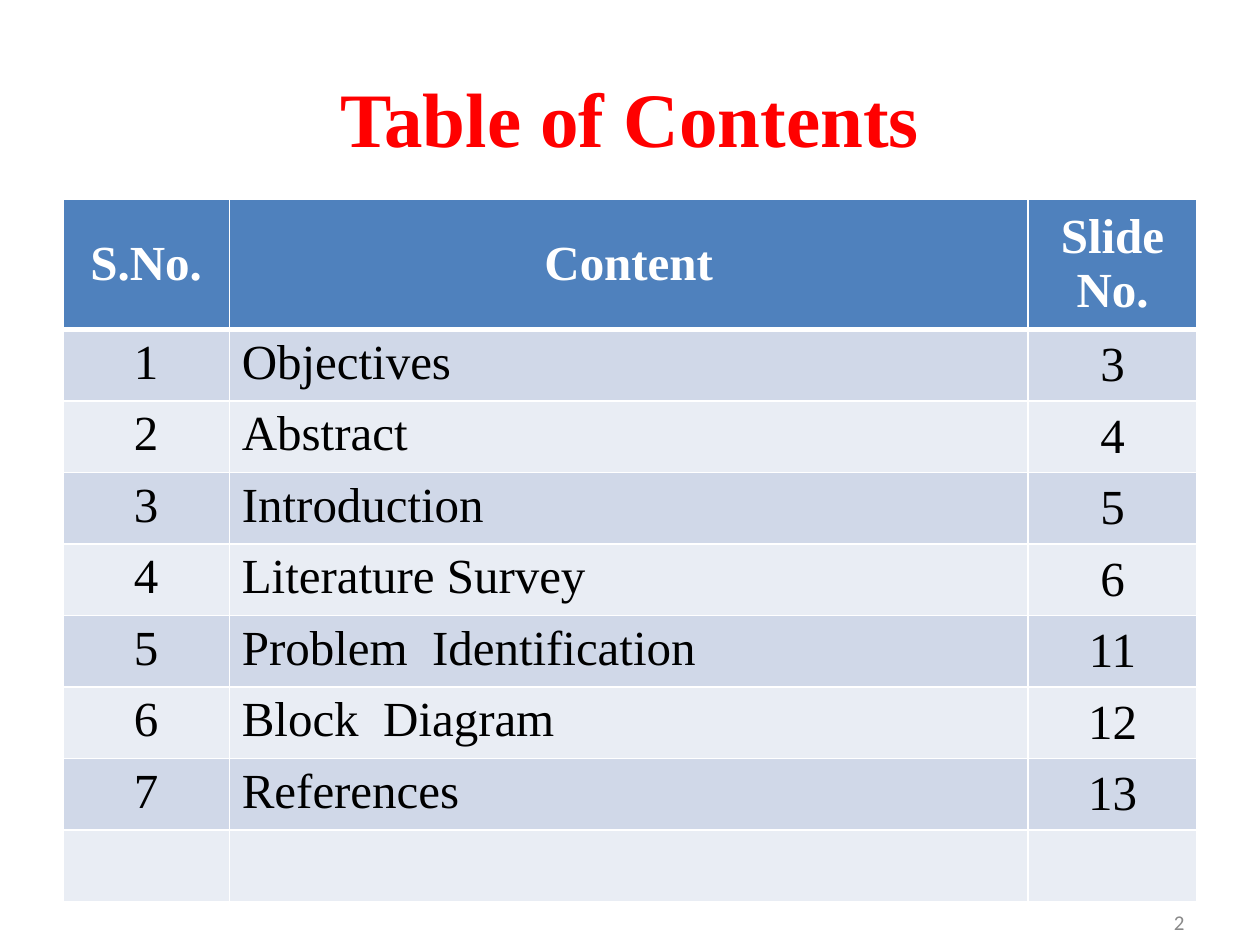
from lxml.etree import SubElement
from pptx import Presentation
from pptx.dml.color import RGBColor
from pptx.enum.text import MSO_ANCHOR, PP_ALIGN
from pptx.oxml.ns import qn
from pptx.util import Inches, Pt

SERIF = "Times New Roman"
LEFT, TOP, WIDTH, HEIGHT = 0.5, 1.58, 9, 5.57
COLS = [1.32, 6.34, 1.34]
HEAD_H = 1.03
ROWS = [
    ("S.No.", "Content", "Slide No."),
    ("1", "Objectives", "3"),
    ("2", "Abstract", "4"),
    ("3", "Introduction", "5"),
    ("4", "Literature Survey", "6"),
    ("5", "Problem  Identification", "11"),
    ("6", "Block  Diagram", "12"),
    ("7", "References", "13"),
    ("", "", ""),
]
BODY_ROWS = len(ROWS) - 1


def write(tf, text, size, color, font=SERIF, bold=False, align=PP_ALIGN.CENTER):
    p = tf.paragraphs[0]
    p.alignment = align
    r = p.add_run()
    r.text = text
    r.font.name, r.font.size, r.font.bold = font, Pt(size), bold
    r.font.color.rgb = RGBColor.from_string(color)


def add_border(cell, side, points):
    ln = SubElement(cell._tc.get_or_add_tcPr(), qn(f"a:ln{side}"), w=str(Pt(points)))
    SubElement(SubElement(ln, qn("a:solidFill")), qn("a:srgbClr"), val="FFFFFF")


prs = Presentation()
prs.slide_width, prs.slide_height = Inches(10), Inches(7.5)
s = prs.slides.add_slide(prs.slide_layouts[6])

# Title, and slide number in the strip below the table
for box, text, style in [
    ((LEFT, 0.3, WIDTH, 1.25), "Table of Contents",
     dict(size=44, color="FF0000", bold=True)),
    ((7.17, TOP + HEIGHT + 0.02, 2.33, 0.3), "2",
     dict(size=12, color="898989", font="Calibri", align=PP_ALIGN.RIGHT)),
]:
    tf = s.shapes.add_textbox(*map(Inches, box)).text_frame
    tf.word_wrap = True
    tf.vertical_anchor = MSO_ANCHOR.MIDDLE
    write(tf, text, **style)

# Contents table
heights = [HEAD_H] + [(HEIGHT - HEAD_H) / BODY_ROWS] * BODY_ROWS
table = s.shapes.add_table(len(ROWS), len(COLS), Inches(LEFT), Inches(TOP),
                           Inches(WIDTH), Inches(HEIGHT)).table
for col, width in zip(table.columns, COLS):
    col.width = Inches(width)
for row, height in zip(table.rows, heights):
    row.height = Inches(height)

for i, values in enumerate(ROWS):
    head = i == 0
    fill = "4F81BD" if head else ("E9EDF4", "D0D8E8")[i % 2]
    for j, text in enumerate(values):
        cell = table.cell(i, j)
        # Borders come before the fill in the cell's properties
        for side in "LRTB":
            thick = (i, side) in [(0, "B"), (1, "T")]
            add_border(cell, side, 3 if thick else 1)
        cell.fill.solid()
        cell.fill.fore_color.rgb = RGBColor.from_string(fill)
        if head or j == 2:
            cell.vertical_anchor = MSO_ANCHOR.MIDDLE
        if text:
            write(cell.text_frame, text, 28, "FFFFFF" if head else "000000", bold=head,
                  align=PP_ALIGN.LEFT if j == 1 and not head else PP_ALIGN.CENTER)

prs.save("out.pptx")
